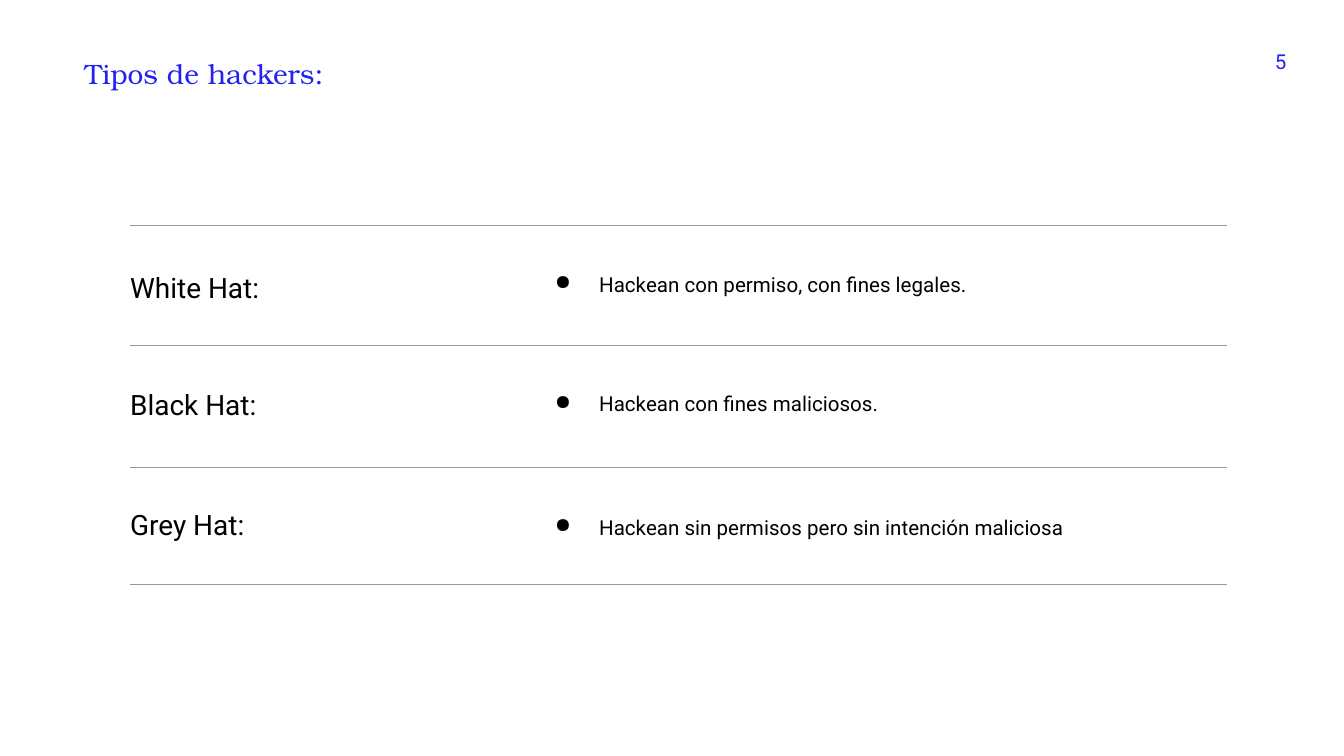
from lxml.etree import SubElement
from pptx import Presentation
from pptx.dml.color import RGBColor
from pptx.enum.shapes import MSO_CONNECTOR
from pptx.enum.text import MSO_ANCHOR, MSO_AUTO_SIZE, PP_ALIGN
from pptx.oxml.ns import qn
from pptx.util import Inches, Pt

BLACK = RGBColor(0x00, 0x00, 0x00)
BLUE = RGBColor(0x23, 0x22, 0xEF)
GREY = RGBColor(0x99, 0x99, 0x99)

deck = Presentation()
deck.slide_width = Inches(10)
deck.slide_height = Inches(10) * 9 // 16
slide = deck.slides.add_slide(deck.slide_layouts[5])


def write(box, text, size, color, font="Roboto", align=PP_ALIGN.LEFT):
    """Fill a text shape with one styled line and return its paragraph."""
    frame = box.text_frame
    frame.word_wrap = True
    frame.auto_size = MSO_AUTO_SIZE.NONE
    frame.vertical_anchor = MSO_ANCHOR.TOP
    frame.margin_left = frame.margin_right = Inches(0.1)
    frame.margin_top = frame.margin_bottom = Inches(0.1)
    para = frame.paragraphs[0]
    para.alignment = align
    run = para.add_run()
    run.text = text
    run.font.name = font
    run.font.size = Pt(size)
    run.font.color.rgb = color
    return para


def add_text(left, top, width, height, *style, **more):
    box = slide.shapes.add_textbox(
        Inches(left), Inches(top), Inches(width), Inches(height))
    return write(box, *style, **more)


# Title and page number
title = slide.shapes.title
title.left, title.top = Inches(0.53), Inches(0.32)
title.width, title.height = Inches(3.93), Inches(0.37)
write(title, "Tipos de hackers:", 15, BLUE, font="TeX Gyre Bonum")
add_text(9.29, 0.27, 0.38, 0.19, "5", 11, BLUE, align=PP_ALIGN.RIGHT)

# Hacker types: name, its top, description, its top
rows = [
    ("White Hat:", 1.91, "Hackean con permiso, con fines legales.", 1.92),
    ("Black Hat:", 2.78, "Hackean con fines maliciosos.", 2.81),
    ("Grey Hat:", 3.68, "Hackean sin permisos pero sin intención maliciosa", 3.73),
]
for name, name_top, about, about_top in rows:
    add_text(0.87, name_top, 2.23, 0.42, name, 15, BLACK)
    para = add_text(3.86, about_top, 5.26, 0.41, about, 11, BLACK)
    props = para._p.get_or_add_pPr()
    props.set("marL", str(Inches(0.5)))
    props.set("indent", str(Inches(-0.33)))
    tint = SubElement(props, qn("a:buClr"))
    SubElement(tint, qn("a:srgbClr"), val=str(BLACK))
    SubElement(props, qn("a:buChar"), char="●")

# Rules between the rows
for top in (1.68, 2.57, 3.48, 4.35):
    rule = slide.shapes.add_connector(
        MSO_CONNECTOR.STRAIGHT,
        Inches(0.97), Inches(top), Inches(9.13), Inches(top))
    rule.line.color.rgb = GREY
    rule.line.width = Pt(0.75)
    SubElement(rule._element.spPr, qn("a:effectLst"))

deck.save("out.pptx")
